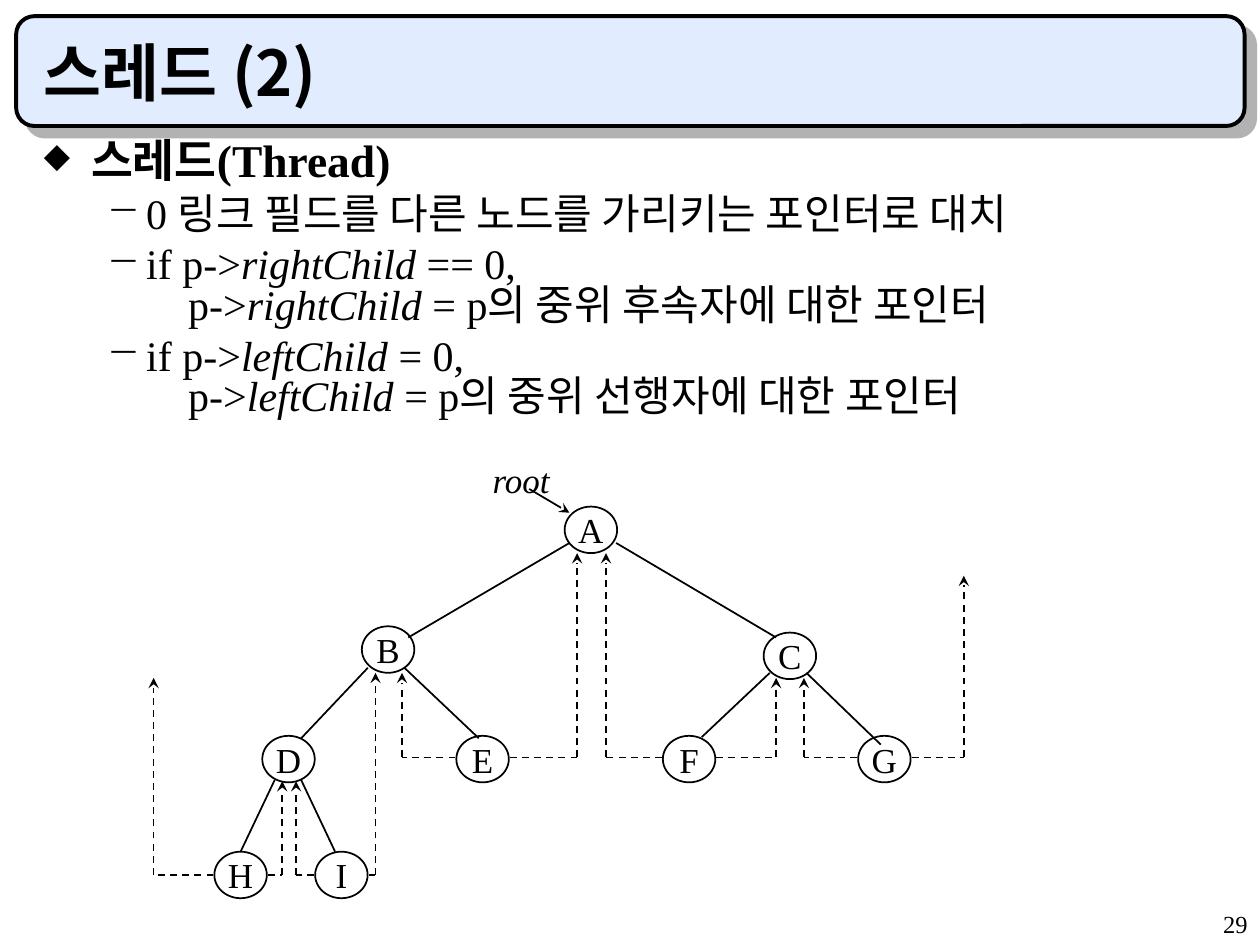
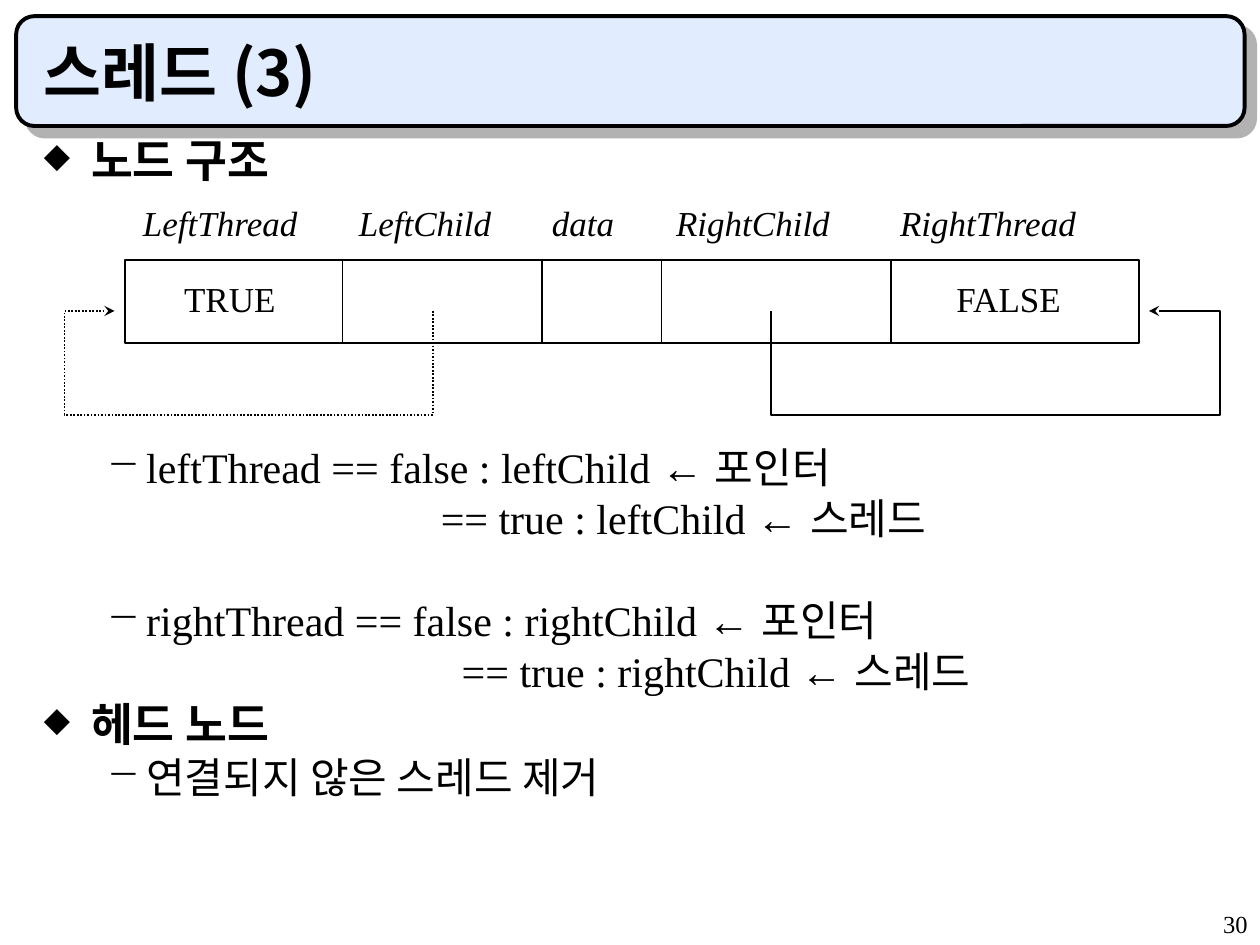
"""Build two slides on threaded binary trees."""
from dataclasses import dataclass

from lxml import etree
from pptx import Presentation
from pptx import util as u
from pptx.dml import color
from pptx.enum import dml, shapes, text
from pptx.oxml import ns

Pt = u.Pt


@dataclass(frozen=True)
class Theme:
    """Colours, fonts and type sizes shared by the slides."""
    ink: str = "000000"
    band: str = "E1ECFF"
    shadow: str = "B2B2B2"
    serif: str = "Times New Roman"
    hangul: str = "Noto Sans CJK KR"
    symbol: str = "Arial"
    title: float = 36
    heading: float = 26
    item: float = 24
    label: float = 20
    footer: float = 14
    line: float = 1
    border: float = 2.25


THEME = Theme()
ITALIC = {"italic": True}
ARROW = ("← ", {"font": THEME.symbol})
NODE_SIZE = (30, 26.6)
NODES = {
    "A": (337.7, 302.8), "B": (221.8, 371.2), "C": (451.4, 374.8),
    "D": (164.9, 433.8), "E": (275.8, 433.8), "F": (393.8, 433.8),
    "G": (505.4, 433.8), "H": (137.5, 500), "I": (195.1, 500),
}
BRANCHES = [
    (325.4, 310.3, 233.3, 364.3), (352.1, 310.3, 443.5, 364.3),
    (210.2, 381.6, 172.1, 421.9), (231.1, 381.6, 273.6, 421.9),
    (157, 445.7, 137.5, 486.7), (172.1, 445.7, 191.5, 486.7),
    (439.9, 384.5, 401, 421.2), (460.8, 384.5, 503.3, 425.5),
]
THREADS = [
    ("E", -1, 229.7, 384.5), ("I", 1, 214.6, 384.5),
    ("H", 1, 161.3, 446.4), ("I", -1, 169.2, 446.4),
    ("H", -1, 87.8, 387.4), ("E", 1, 329.8, 316.1),
    ("F", -1, 346.3, 316.1), ("F", 1, 443.5, 387.4),
    ("G", -1, 459.4, 387.4), ("G", 1, 550.8, 329),
]
FIELDS = [("LeftThread", 81.7), ("LeftChild", 205.1), ("data", 315.4),
          ("RightChild", 386.3), ("RightThread", 514.3)]


def rgb(value):
    """Return a colour from its hex code."""
    return color.RGBColor.from_string(value)


def add_element(parent, tag, **attributes):
    """Append a drawing element to a parent."""
    return etree.SubElement(parent, ns.qn(tag), attributes)


def add_span(para, words, size, bold=False, italic=False, font=THEME.serif):
    """Add one run with its Latin and Hangul fonts."""
    span = para.add_run()
    span.text = words
    span.font.size = Pt(size)
    span.font.bold = bold
    span.font.italic = italic
    span.font.color.rgb = rgb(THEME.ink)
    span.font.name = font
    add_element(span._r.get_or_add_rPr(), "a:ea", typeface=THEME.hangul)


def add_box(page, left, top, width, height, wrap=True):
    """Add an empty text box and return its frame."""
    frame = page.shapes.add_textbox(Pt(left), Pt(top), Pt(width), Pt(height)).text_frame
    frame.word_wrap = wrap
    return frame


def add_label(page, words, left, top, width, height, italic=False):
    """Add a short label beside or inside a figure."""
    frame = add_box(page, left, top, width, height, wrap=False)
    frame.margin_left = 0
    add_span(frame.paragraphs[0], words, THEME.label, italic=italic)


def add_item(frame, spans, before=6, margin=58.5, bullet="−", heading=False):
    """Add a body paragraph; a bullet hangs to the left of the margin."""
    first = not frame.paragraphs[0].runs
    para = frame.paragraphs[0] if first else frame.add_paragraph()
    size = THEME.heading if heading else THEME.item
    para.line_spacing = Pt(25 if heading else 23.1)
    para.space_before = Pt(0 if first else before)
    props = para._p.get_or_add_pPr()
    props.set("marL", str(Pt(margin)))
    if bullet:
        props.set("indent", str(-Pt(27 if heading else 22.5)))
        add_element(add_element(props, "a:buClr"), "a:srgbClr", val=THEME.ink)
        if heading:
            add_element(props, "a:buSzPct", val="75000")
        add_element(props, "a:buChar", char=bullet)
    for span in spans:
        words, style = (span, {}) if isinstance(span, str) else span
        add_span(para, words, size, bold=heading, **style)


def add_heading(frame, words):
    """Add a bold first-level paragraph."""
    add_item(frame, [words], before=6.5, margin=27, bullet="◆", heading=True)


def style_line(item, dash=None, arrow=False):
    """Give a connector or outline its pen, dash and arrowhead."""
    item.line.color.rgb = rgb(THEME.ink)
    item.line.width = Pt(THEME.line)
    if dash:
        item.line.dash_style = dash
    if arrow:
        add_element(item.line._get_or_add_ln(), "a:tailEnd", type="stealth")


def add_line(page, start_x, start_y, end_x, end_y, dash=None, arrow=False):
    """Add a straight line without a shadow."""
    link = page.shapes.add_connector(
        shapes.MSO_CONNECTOR.STRAIGHT, Pt(start_x), Pt(start_y), Pt(end_x), Pt(end_y))
    style_line(link, dash, arrow)
    add_element(link._element.spPr, "a:effectLst")


def add_loop(page, points, dash=None):
    """Add an open outline that ends in an arrowhead."""
    corners = [(Pt(x), Pt(y)) for x, y in points]
    builder = page.shapes.build_freeform(*corners[0], scale=1.0)
    builder.add_line_segments(corners[1:], close=False)
    loop = builder.convert_to_shape()
    loop.shadow.inherit = False
    loop.fill.background()
    style_line(loop, dash, arrow=True)


def add_outline(page, kind, left, top, width, height):
    """Add an unfilled preset shape."""
    shape = page.shapes.add_shape(kind, Pt(left), Pt(top), Pt(width), Pt(height))
    shape.shadow.inherit = False
    shape.fill.background()
    style_line(shape)
    return shape


def add_node(page, name):
    """Add a lettered tree node around its centre."""
    width, height = NODE_SIZE
    x, y = NODES[name]
    node = add_outline(page, shapes.MSO_SHAPE.OVAL, x - width / 2, y - height / 2,
                       width, height)
    frame = node.text_frame
    frame.word_wrap = False
    frame.vertical_anchor = text.MSO_ANCHOR.MIDDLE
    para = frame.paragraphs[0]
    para.alignment = text.PP_ALIGN.CENTER
    add_span(para, name, THEME.label)


def add_thread(page, name, side, turn_x, top):
    """Add a dashed thread sideways out of a node and up to an ancestor."""
    x, y = NODES[name]
    dash = dml.MSO_LINE.DASH
    y = y - 1 if y < 450 else y
    add_line(page, x + side * (NODE_SIZE[0] / 2 + 0.5), y, turn_x, y, dash)
    add_line(page, turn_x, y, turn_x, top, dash, arrow=True)


def add_page(deck, title, number):
    """Add a slide with title band and number; return it with its body frame."""
    page = deck.slides.add_slide(deck.slide_layouts[6])
    band = add_outline(page, shapes.MSO_SHAPE.ROUNDED_RECTANGLE, 9.2, 9.2, 702, 62.8)
    band.fill.solid()
    band.fill.fore_color.rgb = rgb(THEME.band)
    band.line.width = Pt(THEME.border)
    effects = band._element.spPr.find(ns.qn("a:effectLst"))
    shadow = add_element(effects, "a:outerShdw", dist=str(Pt(8.5)), dir="2700000",
                         algn="ctr", rotWithShape="0")
    add_element(shadow, "a:srgbClr", val=THEME.shadow)
    footer = add_box(page, 570, 516, 150, 24).paragraphs[0]
    footer.alignment = text.PP_ALIGN.RIGHT
    add_span(footer, number, THEME.footer)
    heading = add_box(page, 18, 18, 678, 48)
    heading.vertical_anchor = text.MSO_ANCHOR.BOTTOM
    add_span(heading.paragraphs[0], title, THEME.title, bold=True, font=THEME.hangul)
    return page, add_box(page, 18, 78, 678, 420)


def build_tree_page(deck):
    """Build the slide that defines threads and shows a threaded tree."""
    page, body = add_page(deck, "스레드 (2)", "29")
    add_heading(body, "스레드(Thread)")
    add_item(body, ["0 링크 필드를 다른 노드를 가리키는 포인터로 대치"])
    for child, test, target in [("rightChild", " == 0,", "후속자"),
                                ("leftChild", " = 0,", "선행자")]:
        field = (child, ITALIC)
        add_item(body, ["if p->", field, test])
        add_item(body, ["p->", field, f" = p의 중위 {target}에 대한 포인터"],
                 before=0, margin=82.5, bullet=None)
    for name in NODES:
        add_node(page, name)
    for branch in BRANCHES:
        add_line(page, *branch)
    add_label(page, "root", 281.5, 258.5, 41, 31, italic=True)
    add_line(page, 302.4, 279.4, 325.4, 293, arrow=True)
    for thread in THREADS:
        add_thread(page, *thread)


def build_record_page(deck):
    """Build the slide that shows the node record and the head node."""
    page, body = add_page(deck, "스레드 (3)", "30")
    add_heading(body, "노드 구조")
    for side, before, margin in [("left", 151.5, 226.8), ("right", 35.1, 238.8)]:
        add_item(body, [f"{side}Thread == false : {side}Child ", ARROW, "포인터"], before)
        add_item(body, [f"== true : {side}Child ", ARROW, "스레드"],
                 margin=margin, bullet=None)
    add_heading(body, "헤드 노드")
    add_item(body, ["연결되지 않은 스레드 제거"])
    top, height = 148.5, 47.5
    add_outline(page, shapes.MSO_SHAPE.RECTANGLE, 71.3, top, 579.6, height)
    for divider in (195.8, 309.6, 378, 509):
        add_line(page, divider, top, divider, top + height)
    for name, left in FIELDS:
        add_label(page, name, left, 111.6, 110, 31, italic=True)
    add_label(page, "TRUE", 105.2, 155, 60, 31)
    add_label(page, "FALSE", 546.5, 155, 68, 31)
    middle, bottom = 177.7, 237
    for inner, outer, tip, dash in [(247.5, 36.8, 65.5, dml.MSO_LINE.ROUND_DOT),
                                    (440.6, 697, 656.6, None)]:
        add_loop(page, [(inner, middle), (inner, bottom), (outer, bottom),
                        (outer, middle), (tip, middle)], dash)


def main():
    """Build and save the deck."""
    deck = Presentation()
    deck.slide_width, deck.slide_height = Pt(720), Pt(540)
    build_tree_page(deck)
    build_record_page(deck)
    deck.save("out.pptx")


if __name__ == "__main__":
    main()
